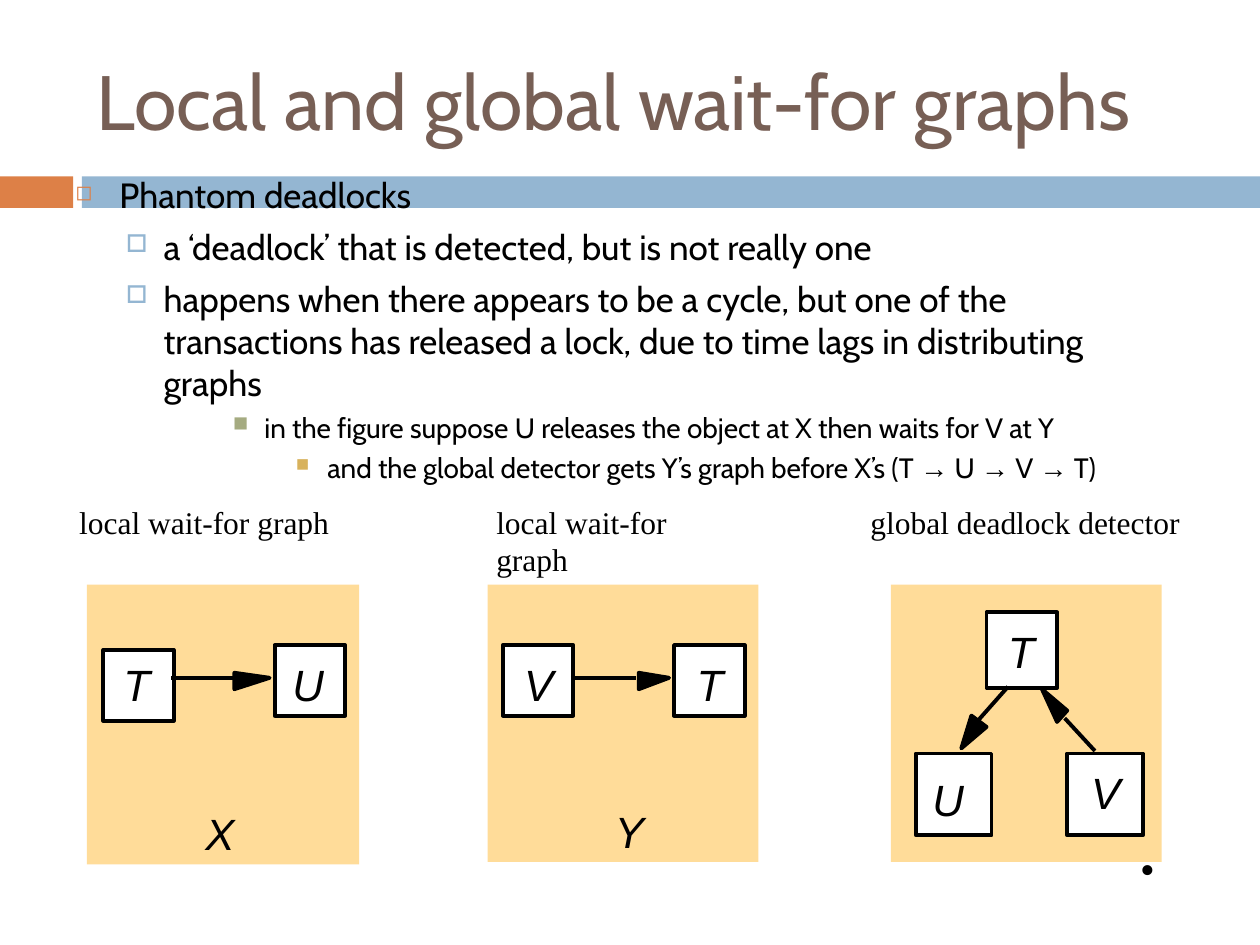
from dataclasses import dataclass

from lxml import etree
from pptx import Presentation
from pptx.dml.color import RGBColor
from pptx.enum.shapes import MSO_CONNECTOR, MSO_SHAPE
from pptx.enum.text import MSO_ANCHOR
from pptx.oxml.ns import qn
from pptx.util import Pt

PX = 9144
RECTANGLE = MSO_SHAPE.RECTANGLE
STRAIGHT = MSO_CONNECTOR.STRAIGHT
TOP = MSO_ANCHOR.TOP
MIDDLE = MSO_ANCHOR.MIDDLE

BLACK = "000000"
WHITE = "FFFFFF"
ORANGE = "DD8047"
BLUE = "94B6D2"
BROWN = "775F55"
SAND = "FFDC99"
LINE_WIDTH = 2.25
INSET = 10, 5
Point = tuple[int, int]
Box = tuple[int, int, int, int]


@dataclass
class Style:
    font: str
    size: int
    color: str = BLACK
    italic: bool = False


@dataclass
class Bullet:
    text: str
    level: int
    margin: int
    hanging: int
    before: float
    symbol: str
    color: str
    percent: int
    size: int


@dataclass
class Letter:
    text: str
    left: int
    top: int


@dataclass
class Arrow:
    start: Point
    end: Point
    head: list[Point]


@dataclass
class Panel:
    caption: str
    caption_box: Box
    area: Box
    nodes: list[Box]
    letters: list[Letter]
    arrows: list[Arrow]


TITLE = Style("Cabin", 44, BROWN)
CAPTION = Style("Times New Roman", 18)
DOT = Style("Times New Roman", 24)
LETTER = Style("Arial", 25, italic=True)

BULLETS = [
    Bullet("Phantom deadlocks", 0, 35, 35, 0, "◻", ORANGE, 60, 20),
    Bullet("a ‘deadlock’ that is detected, but is not really one",
           1, 70, 30, 5.5, "□", BLUE, 70, 20),
    Bullet("happens when there appears to be a cycle, but one of the transactions "
           "has released a lock, due to time lags in distributing graphs",
           1, 70, 30, 5.5, "□", BLUE, 70, 20),
    Bullet("in the figure suppose U releases the object at X then waits for V at Y",
           3, 150, 25, 4, "■", "A5AB81", 75, 16),
    Bullet("and the global detector gets Y’s graph before X’s (T → U → V → T)",
           4, 200, 25, 4, "■", "D8B25C", 65, 16),
]

PANELS = [
    Panel("local wait-for graph", (53, 394, 219, 40), (69, 464, 216, 222),
          [(218, 512, 56, 56), (82, 516, 56, 56)],
          [Letter("X", 163, 640), Letter("T", 98, 522), Letter("U", 232, 522)],
          [Arrow((136, 538), (189, 538), [(186, 534), (214, 538), (186, 547)])]),
    Panel("local wait-for graph", (384, 394, 218, 40), (387, 464, 215, 220),
          [(535, 512, 56, 56), (399, 512, 56, 56)],
          [Letter("Y", 488, 639), Letter("V", 416, 522), Letter("T", 553, 522)],
          [Arrow((453, 538), (505, 538), [(507, 534), (531, 538), (507, 547)])]),
    Panel("global deadlock detector", (681, 394, 266, 40), (707, 464, 215, 220),
          [(727, 598, 60, 65), (847, 598, 60, 65), (783, 486, 56, 60)],
          [Letter("T", 800, 496), Letter("U", 740, 613), Letter("V", 866, 608)],
          [Arrow((800, 545), (777, 571), [(783, 577), (763, 594), (771, 568)]),
           Arrow((869, 596), (845, 570), [(839, 573), (827, 547), (847, 564)])]),
]


def rgb(value: str) -> RGBColor:
    return RGBColor.from_string(value)


def emu(*lengths: int) -> list[int]:
    return [length * PX for length in lengths]


def style_font(font, style: Style) -> None:
    font.name = style.font
    font.size = Pt(style.size)
    font.italic = style.italic
    font.color.rgb = rgb(style.color)


def add_frame(page, area: Box, wrap: bool, inset: Point, anchor=TOP):
    frame = page.shapes.add_textbox(*emu(*area)).text_frame
    frame.word_wrap = wrap
    frame.vertical_anchor = anchor
    frame.margin_left = frame.margin_right = inset[0] * PX
    frame.margin_top = frame.margin_bottom = inset[1] * PX
    return frame


def add_label(page, text: str, area: Box, style: Style, wrap: bool = False,
              inset: Point = INSET, anchor=TOP) -> None:
    frame = add_frame(page, area, wrap, inset, anchor)
    frame.text = text
    style_font(frame.paragraphs[0].runs[0].font, style)


def add_rectangle(page, area: Box, fill: str, outlined: bool = False) -> None:
    shape = page.shapes.add_shape(RECTANGLE, *emu(*area))
    paint(shape, fill, outlined)


def paint(shape, fill: str, outlined: bool) -> None:
    shape.shadow.inherit = False
    shape.fill.solid()
    shape.fill.fore_color.rgb = rgb(fill)
    if outlined:
        shape.line.color.rgb = rgb(BLACK)
        shape.line.width = Pt(LINE_WIDTH)
    else:
        shape.line.fill.background()


def add_arrow(page, arrow: Arrow) -> None:
    builder = page.shapes.build_freeform(*arrow.head[0], scale=PX)
    builder.add_line_segments(arrow.head[1:], close=True)
    paint(builder.convert_to_shape(), BLACK, True)
    line = page.shapes.add_connector(STRAIGHT, *emu(*arrow.start, *arrow.end))
    line.line.color.rgb = rgb(BLACK)
    line.line.width = Pt(LINE_WIDTH)
    etree.SubElement(line._element.spPr, qn("a:effectLst"))


def add_bullet(para, bullet: Bullet) -> None:
    para.level = bullet.level
    para.space_before = Pt(bullet.before)
    properties = para._p.get_or_add_pPr()
    properties.set("marL", str(bullet.margin * PX))
    properties.set("indent", str(-bullet.hanging * PX))
    color = etree.SubElement(properties, qn("a:buClr"))
    etree.SubElement(color, qn("a:srgbClr"), val=bullet.color)
    etree.SubElement(properties, qn("a:buSzPct"), val=str(bullet.percent * 1000))
    etree.SubElement(properties, qn("a:buChar"), char=bullet.symbol)
    before, *rest = bullet.text.split("→")
    pieces = [before] + [piece for part in rest for piece in ("→", part)]
    for piece in pieces:
        span = para.add_run()
        span.text = piece
        style_font(span.font, Style("Arial" if piece == "→" else "Cabin", bullet.size))


def add_panel(page, panel: Panel) -> None:
    add_rectangle(page, panel.area, SAND)
    for node in panel.nodes:
        add_rectangle(page, node, WHITE, True)
    for arrow in panel.arrows:
        add_arrow(page, arrow)
    for letter in panel.letters:
        add_label(page, letter.text, (letter.left, letter.top, 23, 42), LETTER, inset=(0, 0))
    add_label(page, panel.caption, panel.caption_box, CAPTION)


def main() -> None:
    deck = Presentation()
    deck.slide_width, deck.slide_height = emu(1000, 750)
    page = deck.slides.add_slide(deck.slide_layouts[6])
    add_rectangle(page, (0, 140, 58, 25), ORANGE)
    add_rectangle(page, (65, 140, 935, 25), BLUE)
    add_label(page, "Local and global wait-for graphs", (67, 25, 892, 108), TITLE,
              wrap=True, anchor=MIDDLE)
    body = add_frame(page, (50, 133, 894, 525), True, INSET)
    for index, bullet in enumerate(BULLETS):
        add_bullet(body.add_paragraph() if index else body.paragraphs[0], bullet)
    for panel in PANELS:
        add_panel(page, panel)
    add_label(page, "•", (895, 664, 31, 50), DOT)
    deck.save("out.pptx")


if __name__ == "__main__":
    main()
